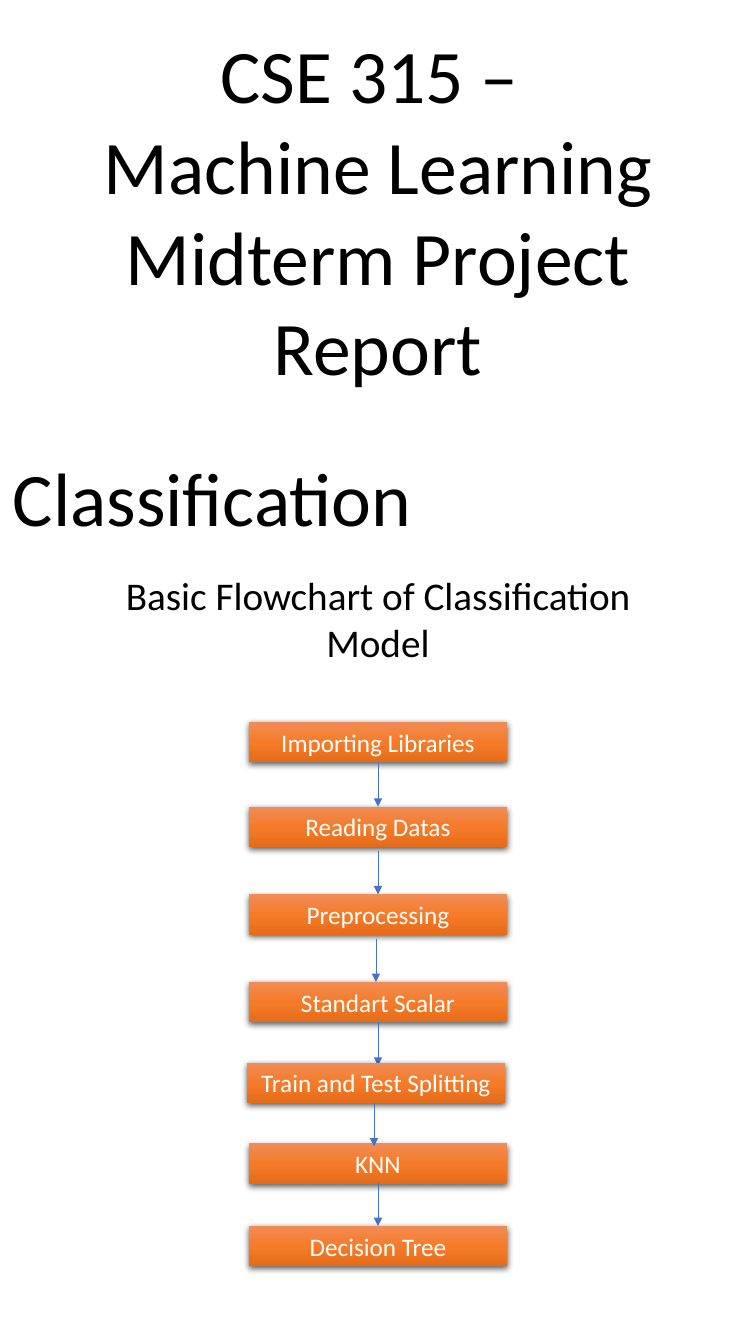
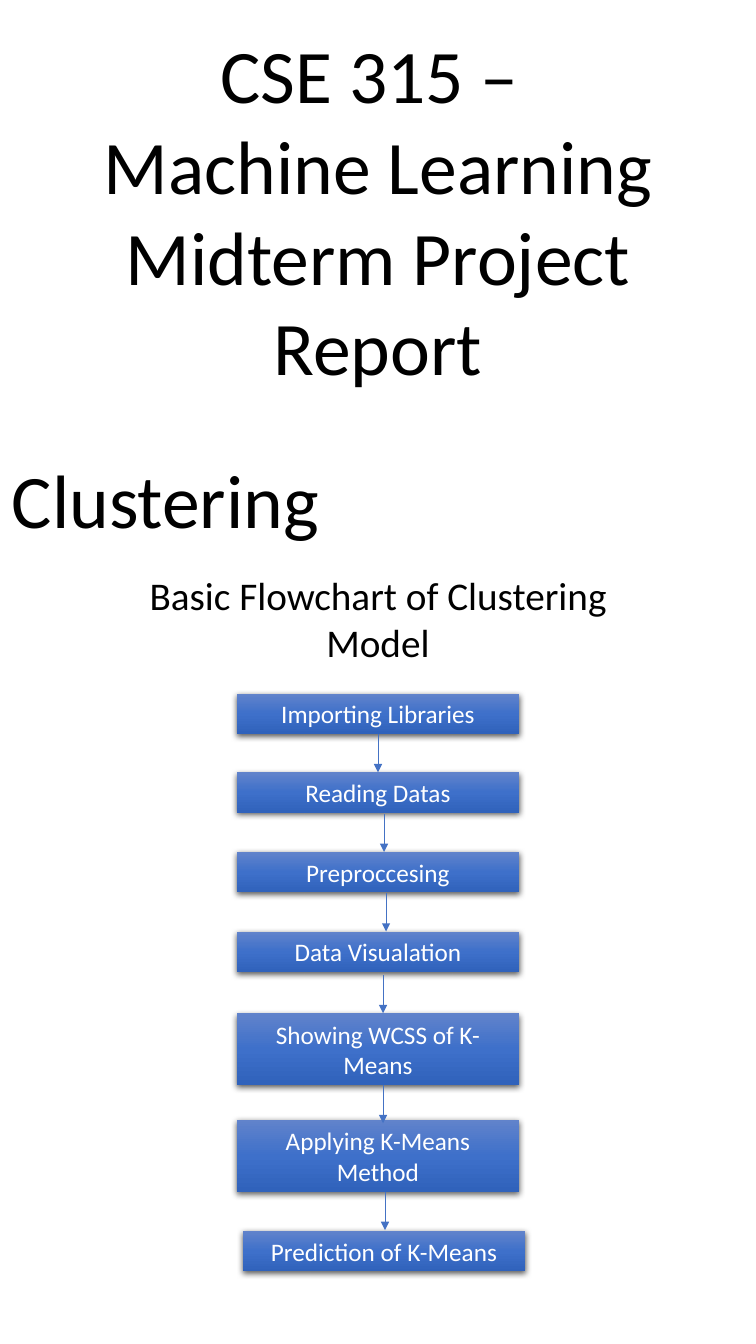
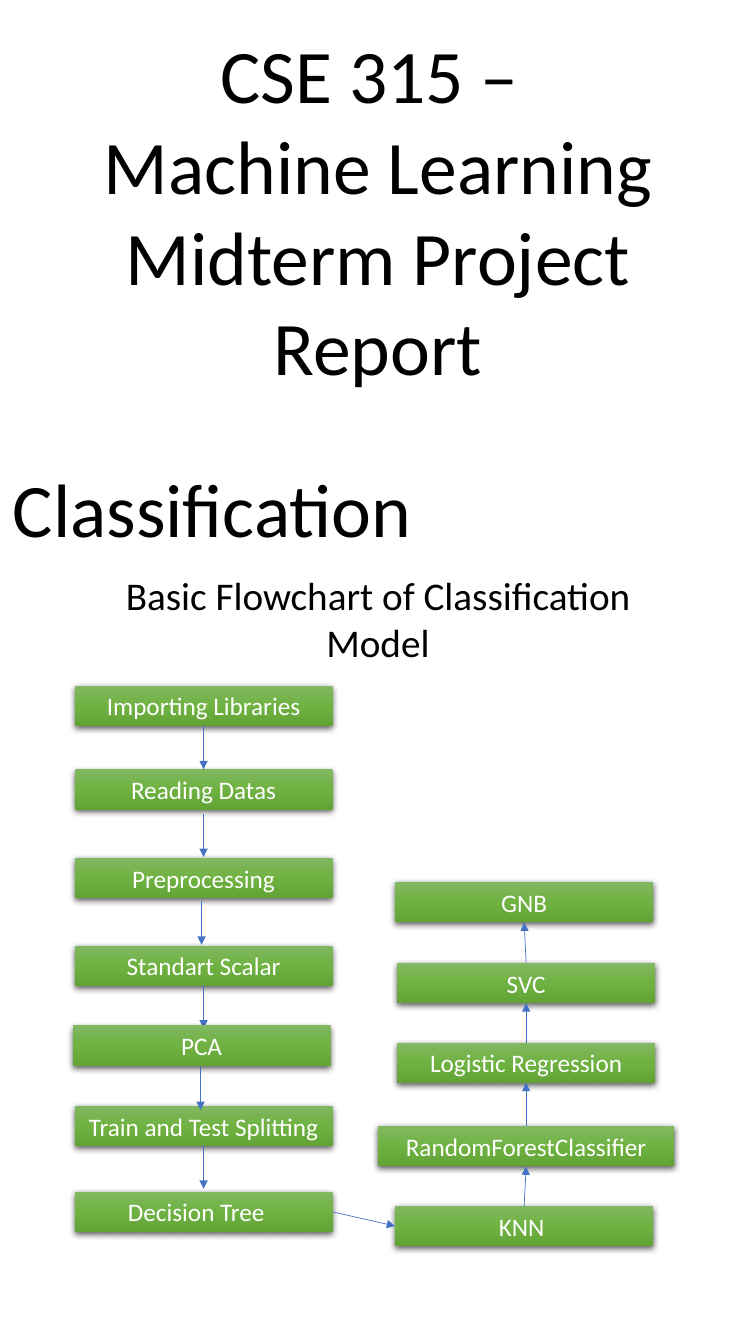
from copy import deepcopy

from lxml import etree
from pptx import Presentation
from pptx.dml.color import RGBColor
from pptx.enum import shapes, text
from pptx.oxml.ns import qn
from pptx.util import Inches, Pt

FONT = "Calibri"
BLACK = RGBColor(0x00, 0x00, 0x00)
WHITE = RGBColor(0xFF, 0xFF, 0xFF)
ARROW_BLUE = RGBColor(0x44, 0x72, 0xC4)
ORANGE = (RGBColor(0xF1, 0x8C, 0x57), RGBColor(0xF6, 0x7B, 0x28), RGBColor(0xE5, 0x6C, 0x19))
BLUE = (RGBColor(0x61, 0x83, 0xCB), RGBColor(0x3E, 0x70, 0xCA), RGBColor(0x30, 0x62, 0xBB))
GREEN = (RGBColor(0x81, 0xB8, 0x61), RGBColor(0x6F, 0xB2, 0x42), RGBColor(0x62, 0xA3, 0x36))

REPORT_TITLE = ("CSE 315 – ", "Machine Learning", "Midterm Project", "Report")
STEP_WIDTH = 2.56
STEP_HEIGHT = 0.4
TALL_STEP = 0.71
TOP, LEFT, BOTTOM, RIGHT = range(4)  # connection sites of a rectangle


def write(frame, *lines, size=18, color=BLACK, wrap=True):
    """Fill a text frame with centred paragraphs, one per line."""
    frame.word_wrap = wrap
    frame.auto_size = text.MSO_AUTO_SIZE.SHAPE_TO_FIT_TEXT
    for number, line in enumerate(lines):
        paragraph = frame.add_paragraph() if number else frame.paragraphs[0]
        paragraph.alignment = text.PP_ALIGN.CENTER
        run = paragraph.add_run()
        run.text = line
        run.font.name = FONT
        run.font.size = Pt(size)
        run.font.color.rgb = color


def add_label(slide, at, *lines, **style):
    """Add a text box at (left, top, width, height)."""
    label = slide.shapes.add_textbox(*map(Inches, at))
    write(label.text_frame, *lines, **style)


def shade(step, colors):
    """Give a step its vertical gradient."""
    step.fill.gradient()
    step.fill.gradient_angle = 270
    stop_list = step._element.spPr.find(qn("a:gradFill")).find(qn("a:gsLst"))
    stop_list.append(deepcopy(stop_list[0]))
    for stop, position, color in zip(step.fill.gradient_stops, (0, 0.5, 1), colors):
        stop.position = position
        stop.color.rgb = color


def drop_shadow(step):
    """Give a step a soft shadow straight below it."""
    step.shadow.inherit = False
    effects = step._element.spPr.find(qn("a:effectLst"))
    shadow = etree.SubElement(effects, qn("a:outerShdw"), blurRad=str(Pt(4.5)),
                              dist=str(Pt(1.5)), dir="5400000", algn="ctr", rotWithShape="0")
    black = etree.SubElement(shadow, qn("a:srgbClr"), val=str(BLACK))
    etree.SubElement(black, qn("a:alpha"), val="63000")


def add_step(slide, name, left, top, colors, width=STEP_WIDTH, height=STEP_HEIGHT):
    """Add one box of a flowchart."""
    step = slide.shapes.add_shape(shapes.MSO_SHAPE.RECTANGLE,
                                  *map(Inches, (left, top, width, height)))
    shade(step, colors)
    step.line.fill.background()
    drop_shadow(step)
    write(step.text_frame, name, color=WHITE)
    return step


def add_column(slide, left, steps, colors, **size):
    """Add the (name, top) steps that share a left edge."""
    return [add_step(slide, name, left, top, colors, **size) for name, top in steps]


def add_arrow(slide, start=(0, 0), end=(0, 0)):
    """Add a thin arrow from start to end."""
    arrow = slide.shapes.add_connector(shapes.MSO_CONNECTOR.STRAIGHT,
                                       *map(Inches, (*start, *end)))
    arrow.line.color.rgb = ARROW_BLUE
    arrow.line.width = Pt(0.5)
    etree.SubElement(arrow.line._get_or_add_ln(), qn("a:tailEnd"), type="triangle")
    etree.SubElement(arrow._element.spPr, qn("a:effectLst"))
    return arrow


def add_down_arrows(slide, starts, length):
    """Add vertical arrows of one length from each (x, top)."""
    for x, top in starts:
        add_arrow(slide, (x, top), (x, top + length))


def link(slide, source, target, leave=BOTTOM, enter=TOP):
    """Glue an arrow between two steps."""
    arrow = add_arrow(slide)
    arrow.begin_connect(source, leave)
    arrow.end_connect(target, enter)


def add_report_slide(deck, topic, topic_top, topic_width):
    """Add a slide with the report title, its topic and the chart heading."""
    slide = deck.slides.add_slide(deck.slide_layouts[6])
    add_label(slide, (0.9, 0.23, 5.7, 3.74), *REPORT_TITLE, size=54, wrap=False)
    add_label(slide, (0, topic_top, topic_width, 1.01), topic, size=54, wrap=False)
    add_label(slide, (0.9, 5.62, 5.7, 1.04), f"Basic Flowchart of {topic} Model", size=28)
    return slide


def add_tree_flow(deck):
    """Classification with KNN and a decision tree."""
    slide = add_report_slide(deck, "Classification", 4.42, 4.21)
    add_column(slide, 2.47, [
        ("Importing Libraries", 7.16), ("Reading Datas", 8), ("Preprocessing", 8.87),
        ("Standart Scalar", 9.74), ("KNN", 11.34), ("Decision Tree", 12.16)], ORANGE)
    add_down_arrows(slide, [(3.75, 7.57), (3.75, 8.44), (3.73, 9.31),
                            (3.75, 10.14), (3.75, 11.73)], 0.43)
    add_step(slide, "Train and Test Splitting", 2.45, 10.54, ORANGE)
    add_down_arrows(slide, [(3.71, 10.94)], 0.43)


def add_clustering_flow(deck):
    """Clustering with K-Means."""
    slide = add_report_slide(deck, "Clustering", 4.44, 3.28)
    add_column(slide, 2.35, [
        ("Importing Libraries", 6.88), ("Reading Datas", 7.66),
        ("Preproccesing", 8.45), ("Data Visualation", 9.24)], BLUE, width=2.8)
    add_column(slide, 2.35, [
        ("Showing WCSS of K-Means", 10.05), ("Applying K-Means Method", 11.11)],
        BLUE, width=2.8, height=TALL_STEP)
    add_step(slide, "Prediction of K-Means", 2.41, 12.21, BLUE, width=2.8)
    add_down_arrows(slide, [(3.75, 7.28), (3.81, 8.07), (3.83, 8.86),
                            (3.8, 9.67), (3.8, 10.76), (3.82, 11.82)], 0.38)


def add_classifier_flow(deck):
    """Classification with PCA and a chain of classifiers."""
    slide = add_report_slide(deck, "Classification", 4.53, 4.21)
    *_, tree = add_column(slide, 0.74, [
        ("Importing Libraries", 6.8), ("Reading Datas", 7.63), ("Preprocessing", 8.51),
        ("Standart Scalar", 9.38), ("Train and Test Splitting", 10.97),
        ("Decision Tree\t", 11.82)], GREEN)
    add_down_arrows(slide, [(2.02, 7.2), (2.02, 8.07), (2, 8.94),
                            (2.02, 9.77), (2.02, 11.36)], 0.43)
    add_step(slide, "PCA", 0.72, 10.17, GREEN)
    add_down_arrows(slide, [(1.99, 10.58)], 0.43)

    knn, gnb = add_column(slide, 3.92, [("KNN\t", 11.96), ("GNB", 8.75)], GREEN)
    forest = add_step(slide, "RandomForestClassifier", 3.75, 11.17, GREEN, width=2.94)
    regression, svc = add_column(slide, 3.94, [("Logistic Regression", 10.34),
                                               ("SVC", 9.55)], GREEN)
    link(slide, tree, knn, RIGHT, LEFT)
    climb = [knn, forest, regression, svc, gnb]
    for lower, upper in zip(climb, climb[1:]):
        link(slide, lower, upper, TOP, BOTTOM)


def main():
    """Build and save the three report slides."""
    deck = Presentation()
    deck.slide_width, deck.slide_height = Inches(7.5), Inches(13.33)
    add_tree_flow(deck)
    add_clustering_flow(deck)
    add_classifier_flow(deck)
    deck.save("out.pptx")


main()
